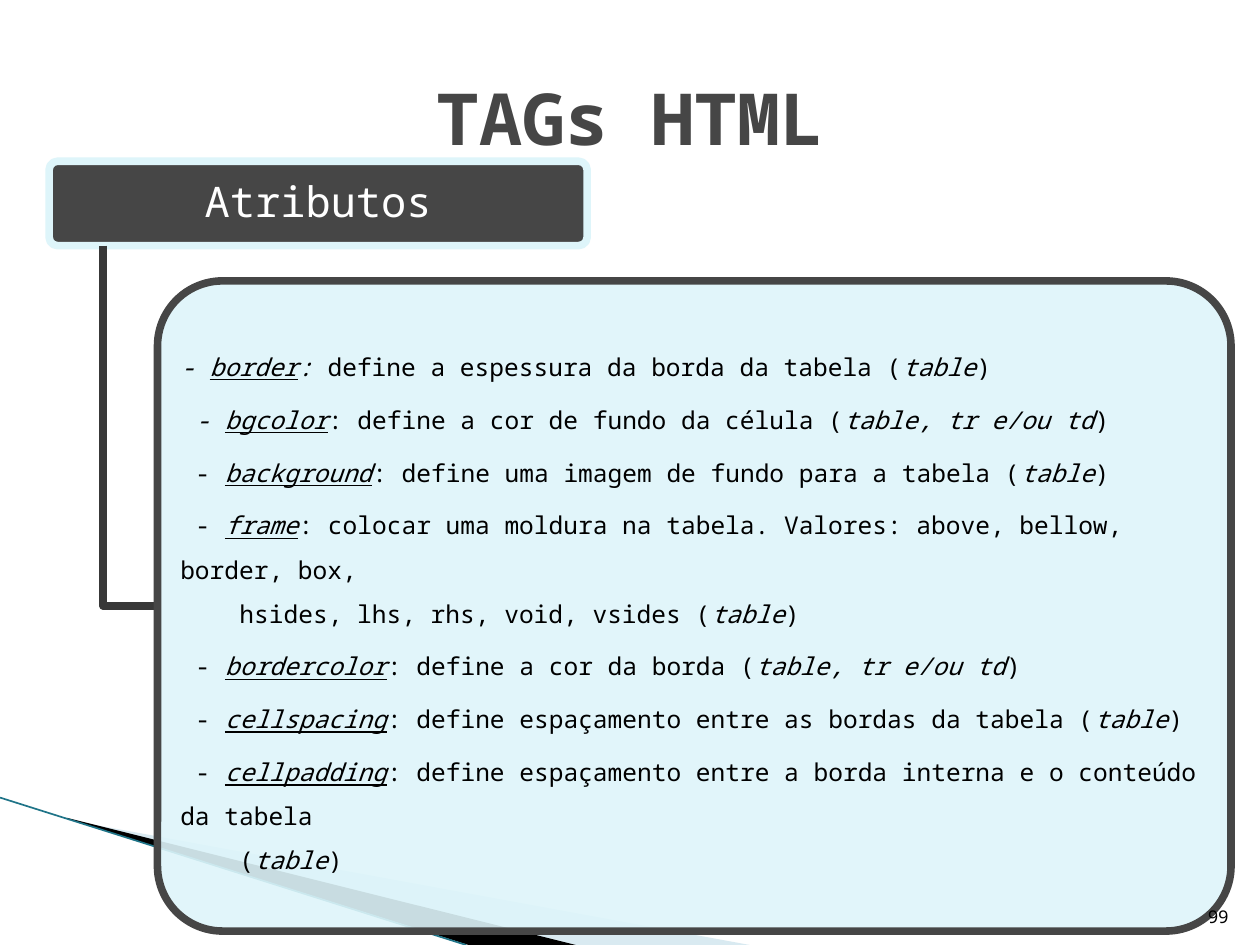
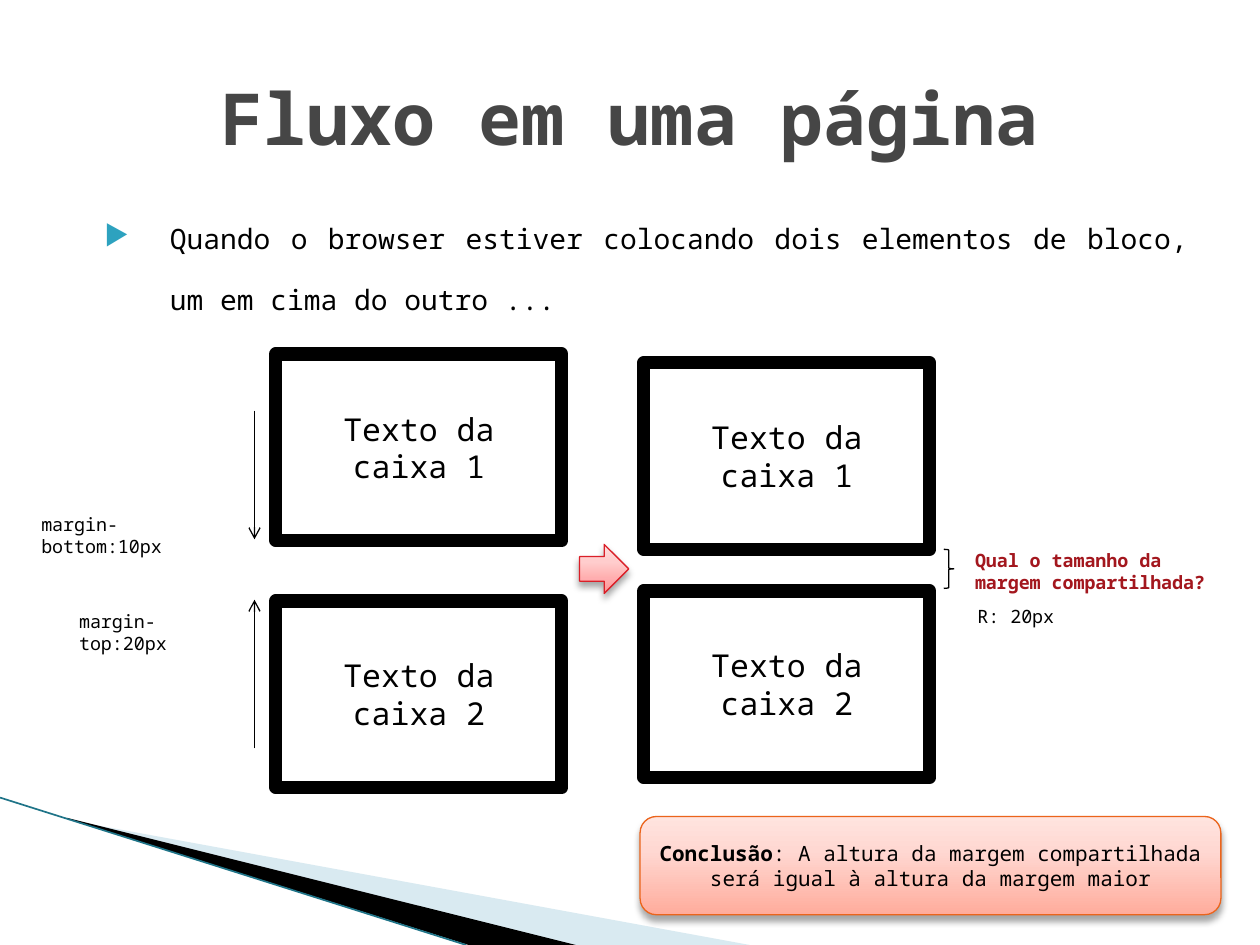
import pptx
import pptx.dml.color
import pptx.enum.shapes
import pptx.enum.text
import pptx.oxml
import pptx.oxml.ns
import pptx.util

Kind = pptx.enum.shapes.MSO_SHAPE
Align = pptx.enum.text.PP_ALIGN
Anchor = pptx.enum.text.MSO_ANCHOR

# All lengths are cells of a grid of 100 columns by 75 rows.
COLS, ROWS = 100, 75
CELL = pptx.util.Inches(0.1)
FONT = "Noto Sans Mono"
GREY, ICE, BLACK, WHITE = "464646", "DEF5FA", "000000", "FFFFFF"
PALE, TEAL, BULLET, RED = "A0CBDC", "1F7488", "2DA2BF", "A3171E"
PINK = ((0, "FF9294"), (65, "FFCDCD"), (100, "FFDCDC"))
PEACH = ((0, "FFAC9C"), (65, "FFD8D2"), (100, "FFE4DF"))
ITAL = {"italic": True}
NAME = {"italic": True, "underline": True}
ITEMS = (
    ("border", "define a espessura da borda da tabela (", None, "table"),
    ("bgcolor", "define a cor de fundo da célula (", None, "table, tr e/ou td"),
    ("background", "define uma imagem de fundo para a tabela (", None, "table"),
    ("frame", "colocar uma moldura na tabela. Valores: above, bellow, border, box,",
     "hsides, lhs, rhs, void, vsides (", "table"),
    ("bordercolor", "define a cor da borda (", None, "table, tr e/ou td"),
    ("cellspacing", "define espaçamento entre as bordas da tabela (", None, "table"),
    ("cellpadding", "define espaçamento entre a borda interna e o conteúdo da tabela",
     "(", "table"),
)


def rgb(code):
    return pptx.dml.color.RGBColor.from_string(code)


def emu(*cells):
    return [round(c * CELL) for c in cells]


def place(box, x, y, w, h):
    """Box of size w by h at x, y from the corner of another box."""
    return box[0] + x, box[1] + y, w, h


def setup(item, values):
    for key, value in values.items():
        setattr(item, key, value)


def node(tag, inner="", **attrs):
    text = "".join(f' {k}="{v}"' for k, v in attrs.items())
    names = pptx.oxml.ns.nsdecls("a")
    return pptx.oxml.parse_xml(f"<a:{tag} {names}{text}>{inner}</a:{tag}>")


def paint(shape, fill=None, line=None, width=0.75, alpha=None):
    shape.shadow.inherit = False
    if fill:
        shape.fill.solid()
        shape.fill.fore_color.rgb = rgb(fill)
        if alpha:
            color = shape.fill._xPr.find(".//" + pptx.oxml.ns.qn("a:srgbClr"))
            color.append(node("alpha", val=alpha * 1000))
    else:
        shape.fill.background()
    if line:
        shape.line.color.rgb = rgb(line)
        shape.line.width = pptx.util.Pt(width)
    else:
        shape.line.fill.background()


def glow(shape, stops, line):
    """Upward gradient with a soft shadow below."""
    paint(shape, WHITE, line)
    props = shape._element.spPr
    marks = "".join(f'<a:gs pos="{p * 1000}"><a:srgbClr val="{c}"/></a:gs>'
                    for p, c in stops)
    old = props.find(pptx.oxml.ns.qn("a:solidFill"))
    props.replace(old, node("gradFill", f'<a:gsLst>{marks}</a:gsLst>'
                            '<a:lin ang="16200000" scaled="0"/>'))
    pt = pptx.util.Pt
    props.find(pptx.oxml.ns.qn("a:effectLst")).append(node(
        "outerShdw", '<a:srgbClr val="000000"><a:alpha val="35000"/></a:srgbClr>',
        blurRad=pt(4), dist=pt(3), dir=5400000, rotWithShape=0))


def shape(slide, kind, box, adj=None, **look):
    new = slide.shapes.add_shape(kind, *emu(*box))
    if adj:
        new.adjustments[0] = adj
    paint(new, **look)
    return new


def trace(slide, points, close=True, **look):
    pairs = [emu(*p) for p in points]
    pen = slide.shapes.build_freeform(*pairs[0])
    pen.add_line_segments(pairs[1:], close=close)
    new = pen.convert_to_shape()
    paint(new, **look)
    return new


def line(slide, start, end, color, width=0.75, arrow=False):
    straight = pptx.enum.shapes.MSO_CONNECTOR.STRAIGHT
    new = slide.shapes.add_connector(straight, *emu(*start, *end))
    new.line.color.rgb = rgb(color)
    new.line.width = pptx.util.Pt(width)
    if arrow:
        new.line._get_or_add_ln().append(node("tailEnd", type="arrow"))
    new._element.spPr.append(node("effectLst"))
    return new


def frame(item, inset=(1, 0.5), anchor=Anchor.MIDDLE):
    x, y = emu(*inset)
    text = item.text_frame
    setup(text, dict(word_wrap=True, vertical_anchor=anchor, margin_left=x,
                     margin_right=x, margin_top=y, margin_bottom=y))
    return text


def write(para, runs, size, color=BLACK, **layout):
    """Fill a paragraph with (text, font values) runs."""
    setup(para, layout)
    for words, style in runs:
        run = para.add_run()
        run.text = words
        setup(run.font, dict(name=FONT, size=pptx.util.Pt(size), **style))
        run.font.color.rgb = rgb(color)


def label(slide, box, words, size, color=BLACK, anchor=Anchor.TOP,
          align=Align.LEFT, **style):
    text = frame(slide.shapes.add_textbox(*emu(*box)), anchor=anchor)
    write(text.paragraphs[0], [(words, style)], size, color, alignment=align)


def indent(para, left, first):
    left, first = emu(left, first)
    props = para._p.get_or_add_pPr()
    props.set("marL", str(left))
    props.set("indent", str(first))
    return props


def start(deck, words):
    slide = deck.slides.add_slide(deck.slide_layouts[5])
    title = slide.shapes.title
    left, top, width, height = emu(5, 3, 90, 12.5)
    setup(title, dict(left=left, top=top, width=width, height=height))
    text = frame(title)
    text.auto_size = pptx.enum.text.MSO_AUTO_SIZE.NONE
    write(text.paragraphs[0], [(words, {"bold": True})], 41, GREY,
          alignment=Align.CENTER)
    return slide


def swoosh(slide):
    """Draw the corner bands and move them to the shared layout."""
    bands = (
        trace(slide, [(5.5, 65.1), (59.5, ROWS), (45.6, ROWS), (5.5, 65)],
              fill=PALE, alpha=40),
        trace(slide, [(5.3, 64.9), (45.7, ROWS), (37.2, ROWS), (5.4, 65)],
              fill=BLACK),
        line(slide, (0, 63.3), (37, ROWS), TEAL, 0.95),
    )
    tree = slide.slide_layout.shapes._spTree
    for spot, band in enumerate(bands, 2):
        tree.insert(spot, band._element)


def list_items(text):
    paras = []

    def add(runs, left, first, after=5):
        para = text.add_paragraph() if paras else text.paragraphs[0]
        paras.append(para)
        indent(para, left, first)
        write(para, runs, 14, alignment=Align.LEFT, line_spacing=1.5,
              space_after=pptx.util.Pt(after))

    for i, (name, words, more, tags) in enumerate(ITEMS):
        head = [("- ", {"italic": i < 2}), (name, NAME),
                (":", {"italic": i < 1}), (" " + words, {})]
        tail = [(tags, ITAL), (")", {})]
        first = 1.2 if i else 0
        if more:
            add(head, 0, first, 0)
            add([(more, {})] + tail, 4.7, 0)
        else:
            add(head + tail, 0, first)


def tree(slide, box):
    """Heading joined by an elbow to the card of attributes."""
    head = shape(slide, Kind.ROUNDED_RECTANGLE, place(box, 0, 0, 42.7, 6.7), 0.1,
                 fill=GREY, line=ICE, width=4.33)
    write(frame(head, (0.5, 0.3)).paragraphs[0], [("Atributos", {})], 24, WHITE,
          alignment=Align.CENTER, line_spacing=0.9)
    x, y = box[:2]
    trace(slide, [(x + 4.3, y + 6.7), (x + 4.3, y + 35.3), (x + 8.6, y + 35.3)],
          close=False, line="383838", width=4.33)
    card = shape(slide, Kind.ROUNDED_RECTANGLE, place(box, 8.6, 9.5, 85.2, 51.6),
                 0.1, fill=ICE, alpha=90, line=GREY, width=4.33)
    list_items(frame(card, (0.3, 0.2)))


def intro(slide, box, words):
    text = frame(slide.shapes.add_textbox(*emu(*box)), anchor=Anchor.TOP)
    para = text.paragraphs[0]
    props = indent(para, 5.2, -5.2)
    props.append(node("buClr", f'<a:srgbClr val="{BULLET}"/>'))
    props.append(node("buChar", char="▶"))
    write(para, [(words, {})], 16, alignment=Align.JUSTIFY, line_spacing=1.8)


def pair(slide, box, step):
    """Two framed blocks, one a step below the other."""
    for i in range(2):
        block = shape(slide, Kind.RECTANGLE, place(box, 0, i * step, *box[2:]),
                      fill=WHITE, line=BLACK, width=7.5)
        write(frame(block).paragraphs[0], [(f"Texto da caixa {i + 1}", {})], 18,
              alignment=Align.CENTER)


def margins(slide, box):
    x, y = box[:2]
    for words, left, top, width, begin, end in (
            ("margin-bottom:10px", 0, 7.6, 17.3, 0, 10.2),
            ("margin-top:20px", 3, 15.3, 14.4, 26.8, 15)):
        line(slide, (x + 17.9, y + begin), (x + 17.9, y + end), BLACK, arrow=True)
        label(slide, place(box, left, top, width, 2.8), words, 10.5)


def query(slide, box):
    shape(slide, Kind.RIGHT_BRACE, place(box, 0, 0.5, 0.8, 3.1), line=BLACK)
    label(slide, place(box, 1.5, 0, 20.3, 4.5),
          "Qual o tamanho da margem compartilhada?", 10.5, RED, bold=True)
    label(slide, place(box, 1.7, 4.4, 20.3, 2.8), "R: 20px", 10.5)


def verdict(slide, box):
    note = shape(slide, Kind.ROUNDED_RECTANGLE, box)
    glow(note, PEACH, "EB641B")
    runs = [("Conclusão", {"bold": True}),
            (": A altura da margem compartilhada será igual à altura "
             "da margem maior", {})]
    write(frame(note).paragraphs[0], runs, 12, alignment=Align.CENTER)


def tags_slide(deck):
    slide = start(deck, "TAGs HTML")
    swoosh(slide)
    tree(slide, (3.9, 12.8, 93.8, 61.1))
    label(slide, (92.5, 70.1, 6, 4), "99", 10, anchor=Anchor.BOTTOM,
          align=Align.RIGHT)


def flow_slide(deck):
    slide = start(deck, "Fluxo em uma página")
    intro(slide, (7.3, 15, 88, 14), "Quando o browser estiver colocando dois "
          "elementos de bloco, um em cima do outro ...")
    pair(slide, (21.9, 28.1, 22.7, 14.8), 19.6)
    margins(slide, (2.3, 32.6, 17.9, 26.8))
    glow(shape(slide, Kind.RIGHT_ARROW, (46, 43.2, 3.9, 3.9)), PINK, "DA1F28")
    pair(slide, (51.1, 28.8, 22.7, 14.8), 18.1)
    query(slide, (74.9, 43.1, 22, 7.2))
    verdict(slide, (50.8, 64.8, 46.1, 7.8))


def main():
    deck = pptx.Presentation()
    deck.slide_width, deck.slide_height = emu(COLS, ROWS)
    tags_slide(deck)
    flow_slide(deck)
    deck.save("out.pptx")


if __name__ == "__main__":
    main()
